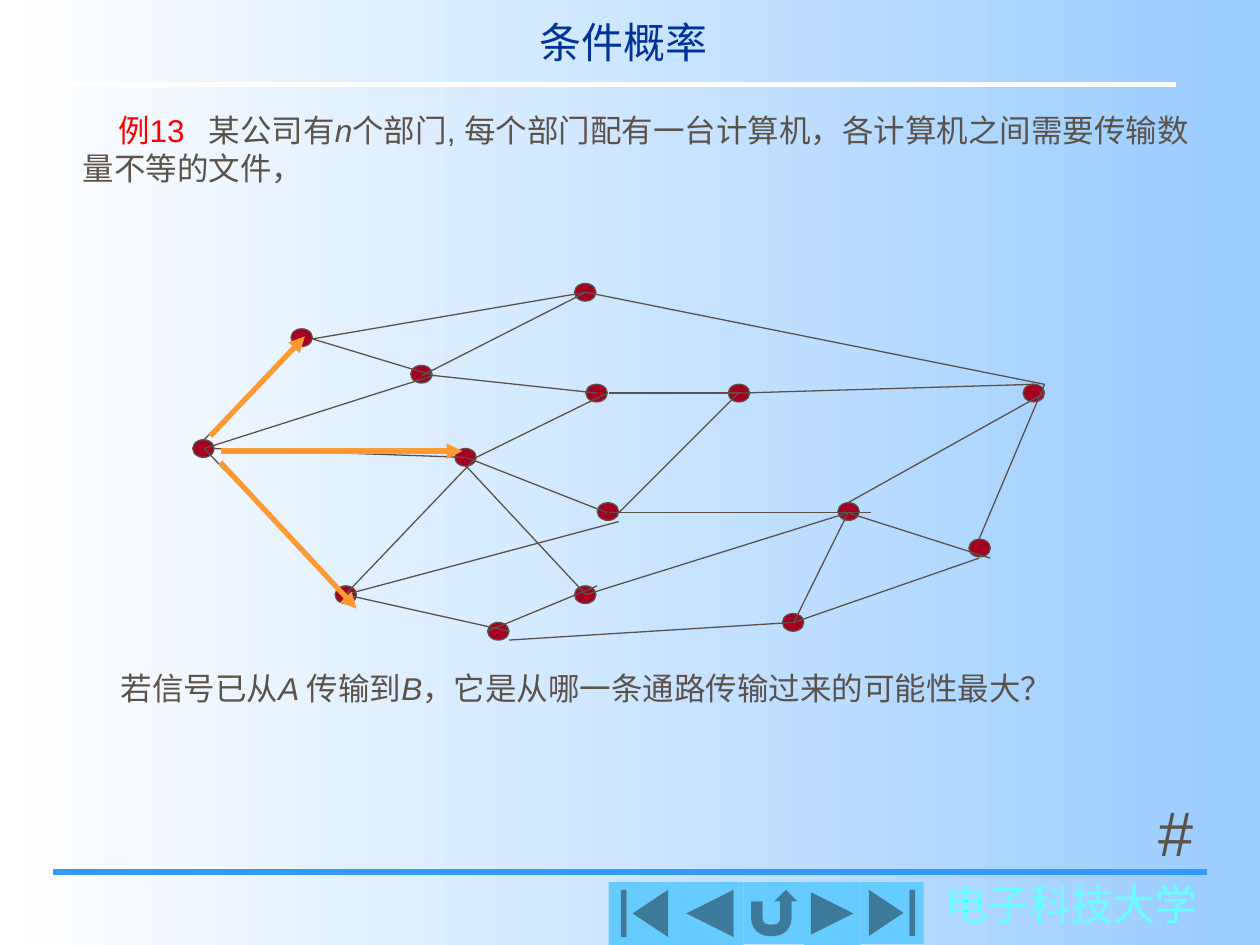
from lxml.etree import SubElement
from pptx import Presentation
from pptx.dml.color import RGBColor
from pptx.enum.shapes import MSO_CONNECTOR, MSO_SHAPE
from pptx.enum.text import PP_ALIGN
from pptx.oxml.ns import qn
from pptx.util import Emu, Pt

EMU_PER_PX = 9144
INK = "5B5249"
NODE_SIZE = (17, 14)
NODES = [
    (0, 124), (173, 65), (425, 80), (113, 240), (321, 174),
    (659, 80), (512, 174), (303, 240), (303, 0), (468, 262),
    (616, 203), (234, 269), (78, 36), (208, 131), (312, 80),
]
LINKS = [
    (9, 131, 121, 247), (17, 131, 217, 138), (9, 131, 191, 73),
    (9, 124, 87, 44), (95, 44, 312, 7), (95, 44, 191, 73),
    (191, 73, 321, 87), (182, 73, 312, 7), (121, 247, 251, 276),
    (121, 247, 225, 138), (217, 138, 329, 182), (234, 276, 321, 240),
    (121, 247, 338, 189), (225, 138, 329, 87), (217, 145, 312, 247),
    (312, 247, 520, 182), (330, 182, 538, 182), (338, 182, 433, 87),
    (330, 87, 434, 87), (520, 174, 676, 87), (520, 182, 633, 218),
    (251, 283, 477, 269), (477, 269, 624, 218), (477, 269, 520, 182),
    (624, 203, 676, 80), (434, 87, 668, 80), (312, 7, 676, 80),
]
SIGNALS = [(22, 142, 130, 258), (22, 133, 214, 133), (14, 121, 89, 42)]
BUTTONS = [
    (MSO_SHAPE.ACTION_BUTTON_BEGINNING, 0, 57, 50),
    (MSO_SHAPE.ACTION_BUTTON_BACK_OR_PREVIOUS, 54, 53, 50),
    (MSO_SHAPE.ACTION_BUTTON_RETURN, 107, 49, 49),
    (MSO_SHAPE.ACTION_BUTTON_FORWARD_OR_NEXT, 155, 45, 50),
    (MSO_SHAPE.ACTION_BUTTON_END, 200, 50, 49),
]


def px(length):
    return Emu(length * EMU_PER_PX)


def color(hex_code):
    return RGBColor.from_string(hex_code)


def add_line(slide, ends, hex_code, weight, arrow=False):
    line = slide.shapes.add_connector(MSO_CONNECTOR.STRAIGHT, *map(px, ends))
    line.line.color.rgb = color(hex_code)
    line.line.width = Pt(weight)
    if arrow:
        SubElement(line.line._get_or_add_ln(), qn("a:tailEnd"), type="triangle")
    SubElement(line._element.spPr, qn("a:effectLst"))


def add_solid(slide, preset, box, fill, outline=None):
    solid = slide.shapes.add_shape(preset, *map(px, box))
    solid.shadow.inherit = False
    solid.fill.solid()
    solid.fill.fore_color.rgb = color(fill)
    if outline:
        solid.line.color.rgb = color(outline)
        solid.line.width = Pt(0.75)
    else:
        solid.line.fill.background()


def add_text(slide, box, parts, size, align=PP_ALIGN.LEFT, wrap=True,
             indent=0, tab=None, spacing=None):
    frame = slide.shapes.add_textbox(*map(px, box)).text_frame
    frame.word_wrap = wrap
    paragraph = frame.paragraphs[0]
    properties = paragraph._p.get_or_add_pPr()
    if indent:
        properties.set("marL", "0")
        properties.set("indent", str(px(indent)))
    if tab:
        stops = SubElement(properties, qn("a:tabLst"))
        SubElement(stops, qn("a:tab"), pos=str(px(tab)), algn="l")
    paragraph.alignment = align
    if spacing:
        paragraph.line_spacing = spacing
    for wording, hex_code, italic in parts:
        run = paragraph.add_run()
        run.text = wording
        run.font.name = "Arial"
        run.font.size = Pt(size)
        run.font.italic = italic
        run.font.color.rgb = color(hex_code)


def add_header(slide, left, top):
    add_line(slide, (left, top + 59, left + 883, top + 59), "FFFFFF", 3)
    add_text(slide, (left + 283, top, 324, 50),
             [("条件概率", "003399", False)], 24, PP_ALIGN.CENTER)


def add_problem(slide, left, top, width):
    add_text(slide, (left, top, width, 70), [
        ("例13\t", "FF0000", False),
        ("某公司有", INK, False),
        ("n", INK, True),
        ("个部门, 每个部门配有一台计算机，各计算机之间需要传输数量不等的文件，", INK, False),
    ], 18, indent=28, tab=107)


def add_network(slide, left, top):
    def placed(ends):
        x1, y1, x2, y2 = ends
        return left + x1, top + y1, left + x2, top + y2

    for x, y in NODES:
        add_solid(slide, MSO_SHAPE.OVAL, (left + x, top + y, *NODE_SIZE), "A50021", INK)
    for link in LINKS:
        add_line(slide, placed(link), INK, 0.75)
    for signal in SIGNALS:
        add_line(slide, placed(signal), "FF9933", 3, arrow=True)


def add_question(slide, left, top, width):
    add_text(slide, (left, top, width, 44), [
        ("若信号已从", INK, False),
        ("A ", INK, True),
        ("传输到", INK, False),
        ("B", INK, True),
        ("，它是从哪一条通路传输过来的可能性最大？", INK, False),
    ], 18, indent=22, spacing=1.1)


def add_footer(slide, left, top, width):
    add_line(slide, (left, top, left + width, top), "3399FF", 3)
    add_text(slide, (left + 699, top, 220, 50),
             [("电子科技大学", "66FFFF", False)], 24, wrap=False)
    for preset, x, button_width, button_height in BUTTONS:
        add_solid(slide, preset,
                  (left + 441 + x, top + 8, button_width, button_height), "66CCFF")
    add_text(slide, (left + 866, top - 67, 50, 70),
             [("#", INK, False)], 36, PP_ALIGN.CENTER)


def set_background(slide):
    fill = slide.background.fill
    fill.gradient()
    fill.gradient_angle = 0
    for stop, hex_code in zip(fill.gradient_stops, ("FFFFFF", "99CCFF")):
        stop.color.rgb = color(hex_code)


def main():
    deck = Presentation()
    deck.slide_width, deck.slide_height = px(1000), px(750)
    slide = deck.slides.add_slide(deck.slide_layouts[6])
    set_background(slide)
    add_header(slide, 50, 8)
    add_problem(slide, 56, 83, 909)
    add_network(slide, 153, 225)
    add_question(slide, 64, 523, 885)
    add_footer(slide, 42, 692, 916)
    deck.save("out.pptx")


if __name__ == "__main__":
    main()
